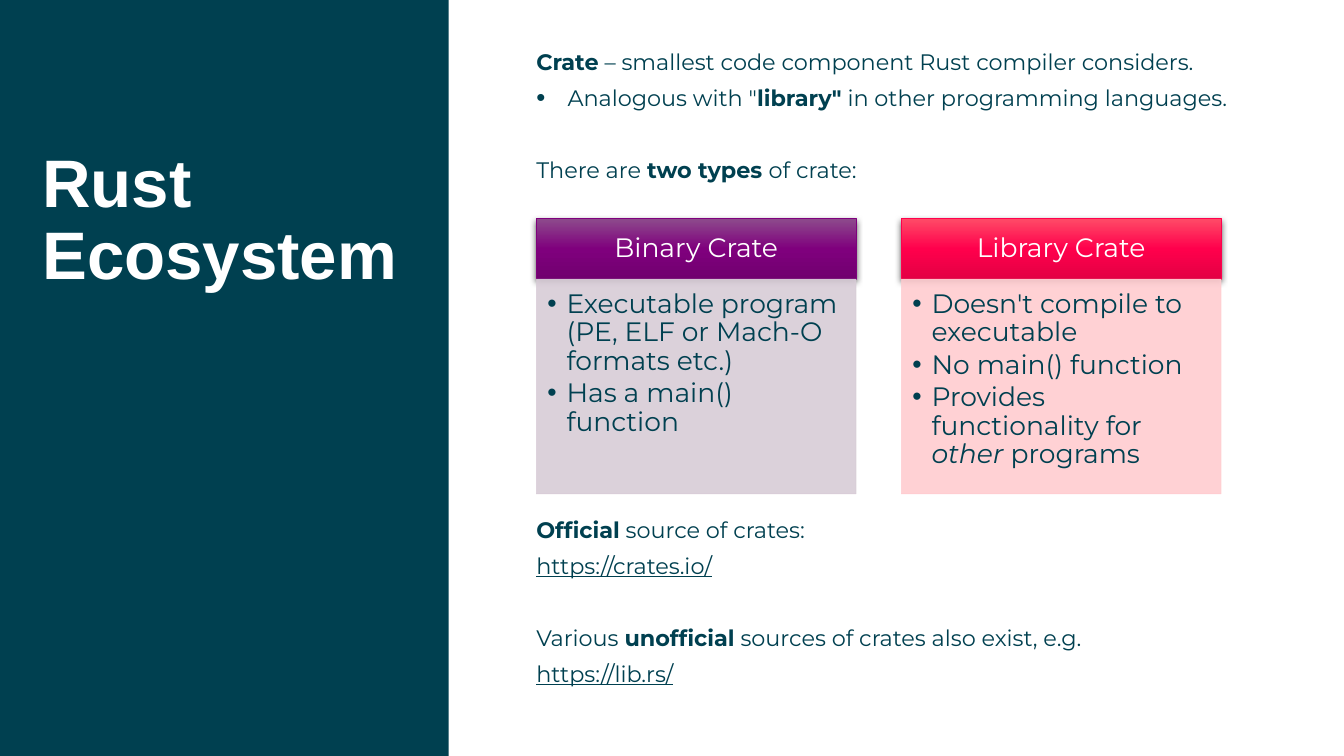
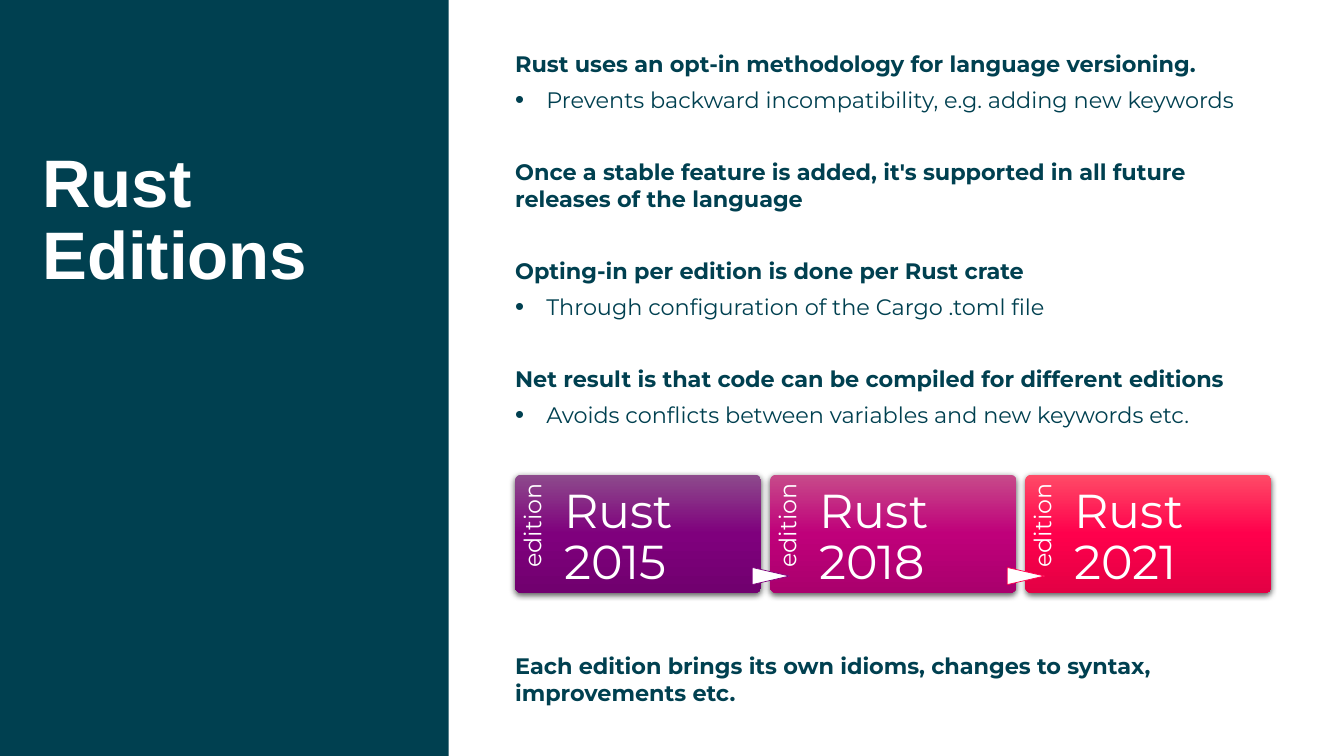
"""Build two slides on the Rust ecosystem and Rust editions."""
from copy import deepcopy

from lxml import etree
from pptx import Presentation
from pptx.dml.color import RGBColor
from pptx.enum.shapes import MSO_SHAPE
from pptx.enum.text import MSO_ANCHOR, PP_ALIGN
from pptx.oxml import parse_xml
from pptx.oxml.ns import nsdecls, qn
from pptx.util import Inches, Pt

RECT = MSO_SHAPE.RECTANGLE
ROUNDED = MSO_SHAPE.ROUNDED_RECTANGLE
TRIANGLE = MSO_SHAPE.FLOWCHART_EXTRACT
TOP, MIDDLE = MSO_ANCHOR.TOP, MSO_ANCHOR.MIDDLE
LEFT, CENTER, RIGHT = PP_ALIGN.LEFT, PP_ALIGN.CENTER, PP_ALIGN.RIGHT

COLORS = {
    "teal": "004050", "white": "FFFFFF",
    "purple": "7F007D", "purple_light": "8D4B8C", "purple_dark": "71006F", "purple_pale": "D8CCD7",
    "magenta": "BF007A", "magenta_light": "C74B8A", "magenta_dark": "AA006D",
    "red": "FF004C", "red_light": "FF4B67", "red_dark": "E30044", "red_pale": "FFCCD0",
}
RGB = {name: RGBColor.from_string(code) for name, code in COLORS.items()}
BODY_GAP = Pt(25.7)
SHADOW = (
    f'<a:outerShdw {nsdecls("a")} blurRad="57150" dist="19050" dir="5400000" algn="ctr" rotWithShape="0">'
    '<a:srgbClr val="000000"><a:alpha val="63000"/></a:srgbClr></a:outerShdw>'
)


def write(frame, rows, size, color="teal", font="Montserrat", insets=(0, 0, 0, 0), align=LEFT,
          anchor=TOP, line=0.9, after=0, indent=0.19, bullet_size=100):
    """Fill a frame with rows of (kind, runs); kind is "", "gap" or a bullet sign."""
    frame.word_wrap = True
    frame.vertical_anchor = anchor
    (frame.margin_left, frame.margin_top,
     frame.margin_right, frame.margin_bottom) = (Inches(inset) for inset in insets)
    for index, (kind, runs) in enumerate(rows):
        paragraph = frame.add_paragraph() if index else frame.paragraphs[0]
        if kind == "•":
            properties = paragraph._p.get_or_add_pPr()
            properties.set("marL", str(Inches(indent)))
            properties.set("indent", str(-Inches(indent)))
            etree.SubElement(properties, qn("a:buSzPct")).set("val", str(bullet_size * 1000))
            etree.SubElement(properties, qn("a:buFont")).set("typeface", "Arial")
            etree.SubElement(properties, qn("a:buChar")).set("char", kind)
        paragraph.alignment = align
        paragraph.line_spacing = line
        paragraph.space_before = BODY_GAP if kind == "gap" else Pt(0)
        paragraph.space_after = Pt(after)
        for text, style in runs:
            run = paragraph.add_run()
            run.text = text
            run.font.name = font
            run.font.size = Pt(size)
            run.font.color.rgb = RGB[color]
            run.font.bold = "b" in style
            run.font.italic = "i" in style
            run.font.underline = "u" in style


def add_panel(slide, outline, box, color, border=None, glossy=False):
    """Add a flat shape, or a glossy one with a gradient and a shadow."""
    panel = slide.shapes.add_shape(outline, *(Inches(length) for length in box))
    panel.shadow.inherit = False
    if glossy:
        panel.fill.gradient()
        panel.fill.gradient_angle = 270
        stops = panel._element.spPr.find(qn("a:gradFill")).find(qn("a:gsLst"))
        stops.insert(1, deepcopy(stops[0]))
        shades = (f"{color}_light", color, f"{color}_dark")
        for index, (stop, shade) in enumerate(zip(panel.fill.gradient_stops, shades)):
            stop.position = index / 2
            stop.color.rgb = RGB[shade]
        panel._element.spPr.find(qn("a:effectLst")).append(parse_xml(SHADOW))
    else:
        panel.fill.solid()
        panel.fill.fore_color.rgb = RGB[color]
    if border:
        panel.line.color.rgb = RGB[border]
        panel.line.width = Pt(0.5)
    else:
        panel.line.fill.background()
    return panel


presentation = Presentation()
presentation.slide_width, presentation.slide_height = Inches(13.33), Inches(7.5)

titles = [["Rust Ecosystem"], ["Rust", "Editions"]]
slides = []
for title_lines in titles:
    slide = presentation.slides.add_slide(presentation.slide_layouts[6])
    add_panel(slide, RECT, (0, 0, 4.45, 7.5), "teal")
    title = slide.shapes.add_textbox(Inches(0.42), Inches(1.48), Inches(3.77), Inches(3.01))
    write(title.text_frame, [("", [(text, "b")]) for text in title_lines], 48, "white", "Arial")
    slides.append(slide)
ecosystem, editions = slides

crate_intro = [
    ("", [("Crate", "b"), (" – smallest code component Rust compiler considers.", "")]),
    ("•", [("Analogous with \"", ""), ("library\"", "b"), (" in other programming languages.", "")]),
    ("gap", [("There are ", ""), ("two types ", "b"), ("of crate:", "")]),
]
crate_sources = [
    ("", [("Official", "b"), (" source of crates:", "")]),
    ("", [("https://crates.io/", "u")]),
    ("gap", [("Various ", ""), ("unofficial", "b"), (" sources of crates also exist, e.g.", "")]),
    ("", [("https://lib.rs/", "u")]),
]
edition_rules = [
    ("", [("Rust uses an opt-in methodology for language versioning.", "b")]),
    ("•", [("Prevents backward incompatibility, e.g. adding new keywords", "")]),
    ("gap", [("Once a stable feature is added, it's supported in all future releases of the language", "b")]),
    ("gap", [("Opting-in per edition is done per Rust crate", "b")]),
    ("•", [("Through configuration of the Cargo .toml file", "")]),
    ("gap", [("Net result is that code can be compiled for different editions", "b")]),
    ("•", [("Avoids conflicts between variables and new keywords etc.", "")]),
]
edition_summary = [
    ("", [("Each edition brings its own idioms, changes to syntax, improvements etc.", "b")]),
]
passages = [
    (ecosystem, (5.32, 0.48, 7.46, 1.4), crate_intro),
    (ecosystem, (5.32, 5.12, 7.46, 1.8), crate_sources),
    (editions, (5.11, 0.5, 7.58, 3.9), edition_rules),
    (editions, (5.11, 6.47, 7.58, 0.6), edition_summary),
]
for slide, box, rows in passages:
    passage = slide.shapes.add_textbox(*(Inches(length) for length in box))
    write(passage.text_frame, rows, 16, line=1.0, after=6.5, indent=0.31, bullet_size=115)

crate_types = [
    ("Binary Crate", "purple", [
        [("Executable program (PE, ELF or Mach-O formats etc.)", "")],
        [("Has a main() function", "")],
    ]),
    ("Library Crate", "red", [
        [("Doesn't compile to executable", "")],
        [("No main() function", "")],
        [("Provides functionality for ", ""), ("other", "i"), (" programs", "")],
    ]),
]
for index, (name, color, traits) in enumerate(crate_types):
    left = 5.32 + 3.62 * index
    heading = add_panel(ecosystem, RECT, (left, 2.17, 3.17, 0.6), color, color, glossy=True)
    write(heading.text_frame, [("", [(name, "")])], 19, "white",
          insets=(0.15, 0.08, 0.15, 0.08), align=CENTER, anchor=MIDDLE)
    pale = f"{color}_pale"
    details = add_panel(ecosystem, RECT, (left, 2.77, 3.17, 2.13), pale, pale)
    for tint in details._element.spPr.iter(qn("a:srgbClr")):
        etree.SubElement(tint, qn("a:alpha")).set("val", "90000")
    write(details.text_frame, [("•", runs) for runs in traits], 19,
          insets=(0.11, 0.11, 0.15, 0.17), after=2.5)

releases = [("Rust 2015", "purple", None), ("Rust 2018", "magenta", "purple"), ("Rust 2021", "red", "red")]
for index, (name, color, arrow_border) in enumerate(releases):
    left = 5.11 + 2.53 * index
    release = add_panel(editions, ROUNDED, (left, 4.71, 2.44, 1.17), color, glossy=True)
    release.adjustments[0] = 0.05
    write(release.text_frame, [("", [(name, "")])], 34, "white", insets=(0.47, 0.11, 0.11, 0))
    caption = editions.shapes.add_textbox(Inches(left - 0.24), Inches(4.95), Inches(0.96), Inches(0.49))
    caption.rotation = 270
    write(caption.text_frame, [("", [("edition", "")])], 17, "white", insets=(0, 0.06, 0.08, 0), align=RIGHT)
    if arrow_border:
        arrow = add_panel(editions, TRIANGLE, (left - 0.08, 5.53, 0.17, 0.37), "white", arrow_border)
        arrow.rotation = 90

presentation.save("out.pptx")
